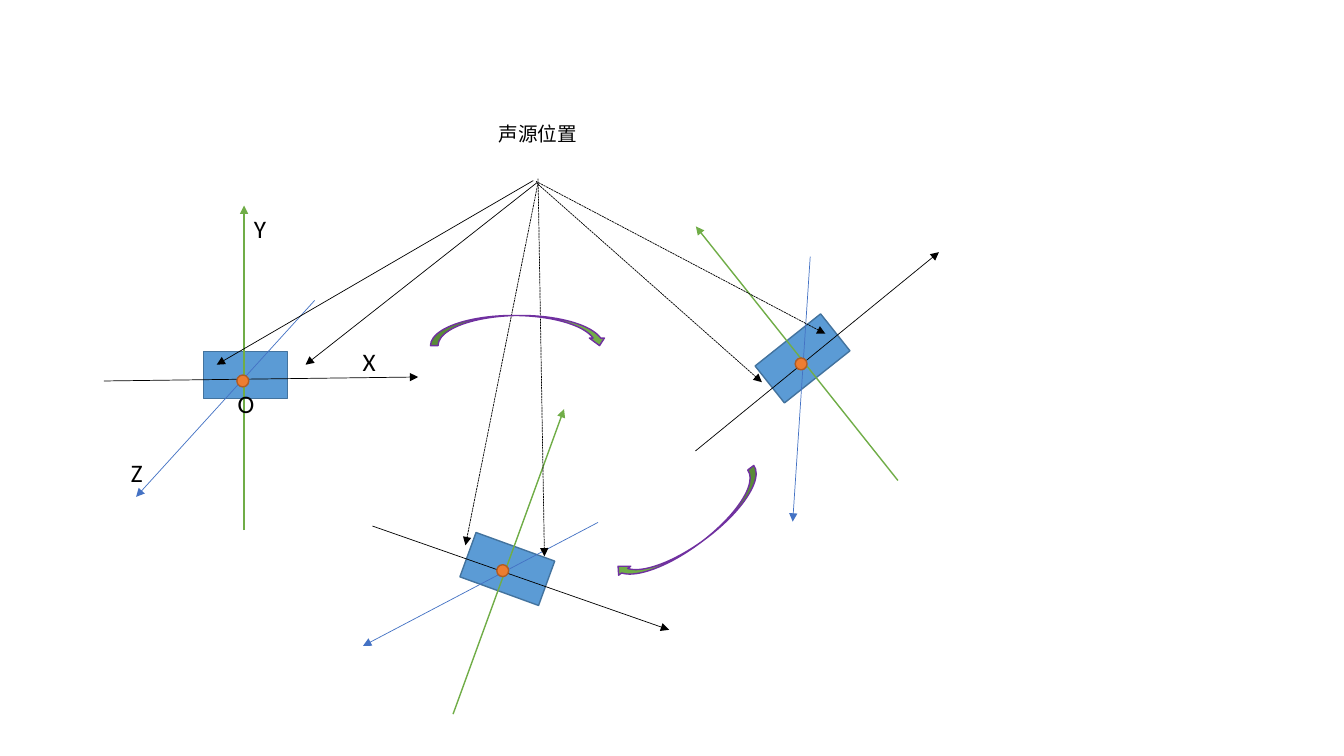
from lxml.etree import SubElement
from pptx import Presentation
from pptx.dml.color import RGBColor
from pptx.enum.dml import MSO_LINE
from pptx.enum.shapes import MSO_CONNECTOR, MSO_SHAPE
from pptx.enum.text import MSO_AUTO_SIZE
from pptx.oxml.ns import qn
from pptx.util import Cm, Pt

COLORS = {
    "text": "000000", "x": "000000", "y": "70AD47", "z": "4472C4", "ray": "000000",
    "body": "5B9BD5", "body_edge": "43739E",
    "origin": "ED7D31", "origin_edge": "AF5C24",
    "turn": "70AD47", "turn_edge": "7030A0",
}
BODY = (-1.45, -0.41, 2.11, 1.19)  # relative to the device centre, in cm
AXES = {  # start, end relative to the device centre, and line width
    "x": ((-3.96, 0.33), (3.96, 0.23), 0.5),
    "y": ((-0.43, 4.09), (-0.43, -4.09), 1),
    "z": ((1.35, -1.7), (-3.15, 3.25), 0.5),
}
DEVICES = [  # centre, turn in degrees, origin
    ((6.58, 9.27), 0, (6.12, 9.6)),
    ((20.42, 8.64), -38.5, (20.19, 9.17)),
    ((13.22, 14.3), 20, (12.67, 14.38)),
]
ORIGIN_SIZE = 0.3
RAYS = [  # start, end, dash style
    ((13.44, 4.55), (5.46, 9.19), None),
    ((13.51, 4.62), (7.7, 9.19), None),
    ((13.51, 4.6), (19.2, 9.63), MSO_LINE.SQUARE_DOT),
    ((13.51, 4.57), (20.8, 8.41), MSO_LINE.SQUARE_DOT),
    ((13.56, 4.6), (11.73, 13.74), MSO_LINE.SQUARE_DOT),
    ((13.56, 4.5), (13.72, 14.02), MSO_LINE.SQUARE_DOT),
]
LABEL_SIZE = (1.04, 1.02)
AXIS_LABELS = {"X": (8.89, 8.59), "Y": (6.15, 5.26), "Z": (3.05, 11.4), "O": (5.74, 9.65)}
TURN_SIZE = (4.45, 0.76)
TURNS = [((10.85, 7.95), 0), ((15.21, 12.98), 143.4)]


def color(name):
    return RGBColor.from_string(COLORS[name])


def add_filled(shapes, preset, box, name, rotation=0):
    part = shapes.add_shape(preset, *map(Cm, box))
    part.rotation = rotation
    part.shadow.inherit = False
    part.fill.solid()
    part.fill.fore_color.rgb = color(name)
    part.line.color.rgb = color(name + "_edge")
    part.line.width = Pt(1)


def add_arrow(shapes, start, end, name, width=0.5, dash=None):
    arrow = shapes.add_connector(MSO_CONNECTOR.STRAIGHT, *map(Cm, start + end))
    for attribute, value in {"width": Pt(width), "dash_style": dash}.items():
        setattr(arrow.line, attribute, value)
    arrow.line.color.rgb = color(name)
    SubElement(arrow.line._get_or_add_ln(), qn("a:tailEnd"), type="triangle")
    SubElement(arrow._element.spPr, qn("a:effectLst"))


def add_label(shapes, text, box, size, typeface):
    frame = shapes.add_textbox(*map(Cm, box)).text_frame
    for attribute, value in {"word_wrap": True,
                             "auto_size": MSO_AUTO_SIZE.SHAPE_TO_FIT_TEXT}.items():
        setattr(frame, attribute, value)
    run = frame.paragraphs[0].add_run()
    run.text = text
    for attribute, value in {"size": Pt(size), "name": typeface}.items():
        setattr(run.font, attribute, value)
    run.font.color.rgb = color("text")
    SubElement(run.font._element, qn("a:ea"), typeface="Noto Sans CJK SC")


def add_device(slide, centre, rotation):
    """Draw a body with its three axes, turned as one group about the centre."""
    device = slide.shapes.add_group_shape()
    cx, cy = centre
    left, top, width, height = BODY
    add_filled(device.shapes, MSO_SHAPE.RECTANGLE, (cx + left, cy + top, width, height), "body")
    for name, (start, end, line_width) in AXES.items():
        add_arrow(device.shapes, (cx + start[0], cy + start[1]),
                  (cx + end[0], cy + end[1]), name, line_width)
    device.rotation = rotation


def add_origin(slide, centre):
    corner = tuple(c - ORIGIN_SIZE / 2 for c in centre)
    add_filled(slide.shapes, MSO_SHAPE.OVAL, corner + (ORIGIN_SIZE, ORIGIN_SIZE), "origin")


def add_sound_source(slide, box):
    add_label(slide.shapes, "声源位置", box, 14, "Noto Sans CJK SC")
    for start, end, dash in RAYS:
        add_arrow(slide.shapes, start, end, "ray", dash=dash)


def main():
    presentation = Presentation()
    presentation.slide_width, presentation.slide_height = Cm(33.87), Cm(19.05)
    slide = presentation.slides.add_slide(presentation.slide_layouts[6])
    for centre, rotation, _ in DEVICES:
        add_device(slide, centre, rotation)
    add_sound_source(slide, (12.32, 2.95, 5.46, 0.86))
    for letter, corner in AXIS_LABELS.items():
        add_label(slide.shapes, letter, corner + LABEL_SIZE, 18, "Calibri")
    for _, _, origin in DEVICES:
        add_origin(slide, origin)
    for corner, rotation in TURNS:
        add_filled(slide.shapes, MSO_SHAPE.CURVED_DOWN_ARROW, corner + TURN_SIZE, "turn", rotation)
    presentation.save("out.pptx")


if __name__ == "__main__":
    main()
